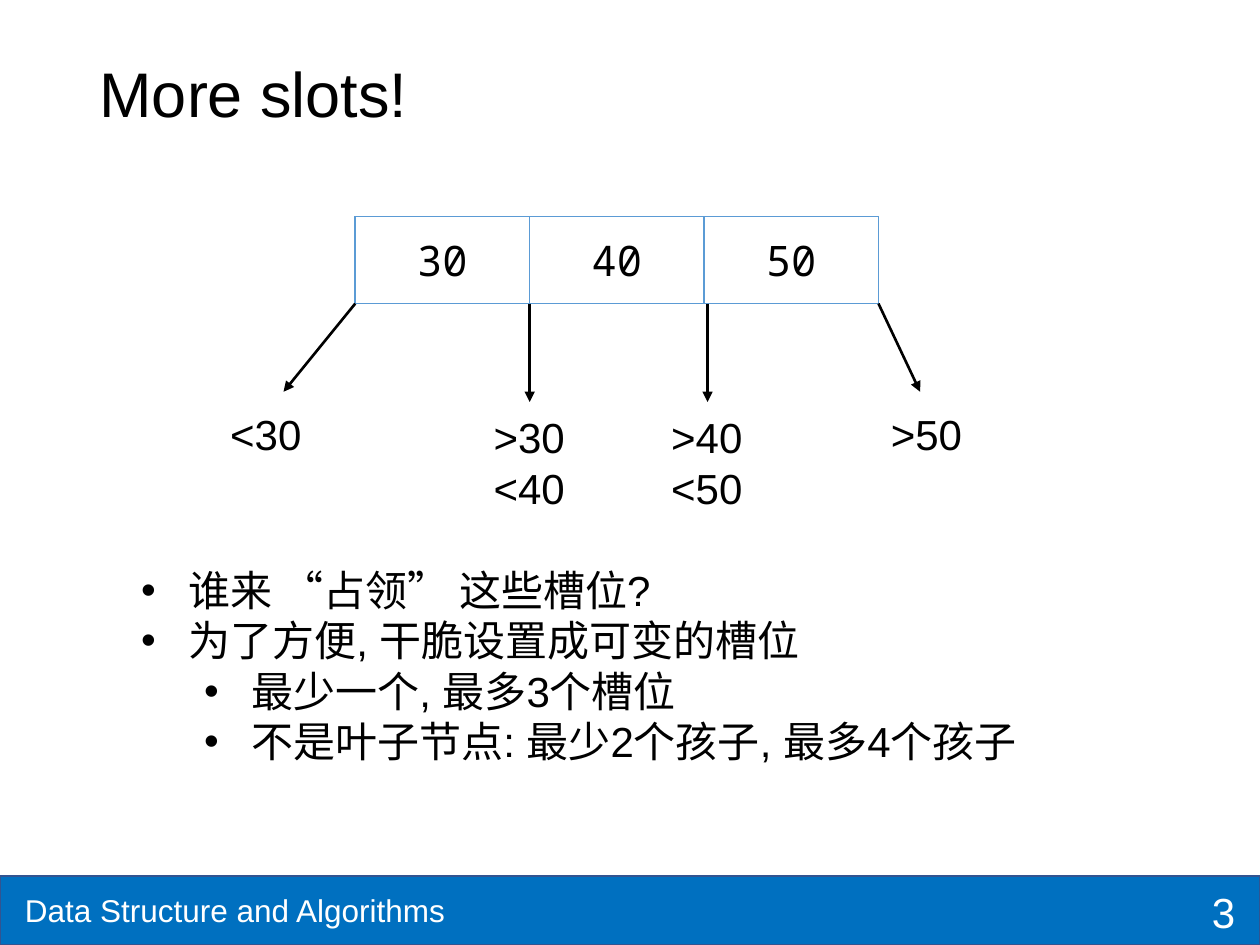
from lxml import etree
from pptx import Presentation
from pptx.dml.color import RGBColor
from pptx.enum import shapes, text
from pptx.oxml import ns
from pptx.util import Pt

COLORS = {"text": "000000", "paper": "FFFFFF", "bar": "0070C0",
          "bar_line": "325491", "slot_line": "5B9BD5"}
SANS, MONO = "Arial", "Noto Sans Mono"
MIDDLE = text.MSO_ANCHOR.MIDDLE
ALIGN = text.PP_ALIGN


def color(name):
    return RGBColor.from_string(COLORS[name])


def sub(parent, tag, **attrs):
    return etree.SubElement(parent, ns.qn(tag), **attrs)


def place(sp, x, y, w, h):
    sp.left, sp.top, sp.width, sp.height = Pt(x), Pt(y), Pt(w), Pt(h)


def write(sp, lines, size, fill="text", font=SANS, align=ALIGN.LEFT,
          anchor=text.MSO_ANCHOR.TOP, wrap=True):
    tf = sp.text_frame
    tf.auto_size = text.MSO_AUTO_SIZE.NONE
    tf.word_wrap = wrap
    tf.vertical_anchor = anchor
    tf.text = "\n".join(lines)
    for p in tf.paragraphs:
        p.alignment = align
        p.space_before = Pt(0)
        p.font.size = Pt(size)
        p.font.name = font
        p.font.color.rgb = color(fill)
    return tf


def add_label(s, box, lines, size, **style):
    return write(s.shapes.add_textbox(*map(Pt, box)), lines, size, **style)


def add_rect(s, box, fill, line, opacity=None):
    sp = s.shapes.add_shape(shapes.MSO_SHAPE.RECTANGLE, *map(Pt, box))
    sp.shadow.inherit = False
    sp.fill.solid()
    sp.fill.fore_color.rgb = color(fill)
    sp.line.color.rgb = color(line)
    sp.line.width = Pt(1)
    if opacity is not None:
        rgb = sp.fill._xPr.find(".//" + ns.qn("a:srgbClr"))
        sub(rgb, "a:alpha", val=str(opacity * 1000))
    return sp


def add_arrow(s, x1, y1, x2, y2):
    c = s.shapes.add_connector(shapes.MSO_CONNECTOR.STRAIGHT,
                               *map(Pt, (x1, y1, x2, y2)))
    c.line.color.rgb = color("text")
    c.line.width = Pt(1.5)
    sub(c.line._get_or_add_ln(), "a:tailEnd", type="triangle")
    sub(c._element.spPr, "a:effectLst")


def add_footer(s, x, y, w, h, label, number):
    add_rect(s, (x, y, w, h), "bar", "bar_line")
    add_label(s, (x + 7.2, y + 5, 269, 29), [label], 18, fill="paper")
    add_label(s, (x + w - 169, y + 5.8, 162, 29), [number], 24, fill="paper",
              align=ALIGN.RIGHT, anchor=MIDDLE)


def add_title(s, x, y, w, h, title):
    sp = s.shapes.title
    place(sp, x, y, w, h)
    tf = write(sp, [title], 36, anchor=MIDDLE)
    tf.paragraphs[0].line_spacing = 0.9


def add_node(s, x, y, w, h, keys):
    """Draw a node with one slot for each key."""
    add_rect(s, (x, y, w, h), "paper", "slot_line", 76)
    slot = w / len(keys)
    for i, key in enumerate(keys):
        sp = add_rect(s, (x + i * slot, y, slot, h), "paper", "slot_line", 76)
        write(sp, [key], 24, font=MONO, align=ALIGN.CENTER, anchor=MIDDLE)


def add_branches(s, x, y, w):
    """Draw the arrows and ranges that hang below a node's lower edge."""
    # arrow start, arrow sideways shift, drop, label left, label top, ranges
    branches = [
        (0, -41, 50.4, -78.5, 56.2, ["<30"]),
        (w / 3, 0, 56.2, 72, 58.3, [">30", "<40"]),
        (w * 2 / 3 + 2, 0, 56.2, 173.5, 58.3, [">40", "<50"]),
        (w, 23.8, 50.4, w, 56.2, [">50"]),
    ]
    for start, shift, drop, left, top, ranges in branches:
        add_arrow(s, x + start, y, x + start + shift, y + drop)
        add_label(s, (x + left, y + top, 55.4, 7 + 29 * len(ranges)),
                  ranges, 24, wrap=False)


def add_bullets(s, x, y, w, h, items):
    sp = s.placeholders[1]
    place(sp, x, y, w, h)
    tf = write(sp, [line for _, line in items], 24)
    for p, (level, _) in zip(tf.paragraphs, items):
        p.level = level
        pPr = p._p.get_or_add_pPr()
        pPr.set("marL", str(Pt(27 + 36 * level)))
        pPr.set("indent", str(Pt(-27)))
        bullet_font = etree.Element(ns.qn("a:buFont"), typeface=SANS)
        bullet = etree.Element(ns.qn("a:buChar"), char="•")
        pPr.find(ns.qn("a:defRPr")).addprevious(bullet_font)
        bullet_font.addnext(bullet)


def main():
    prs = Presentation()
    prs.slide_width, prs.slide_height = Pt(720), Pt(540)
    s = prs.slides.add_slide(prs.slide_layouts[1])
    add_footer(s, 0, 500.4, 720, 39.6, "Data Structure and Algorithms", "3")
    add_title(s, 49.7, 28.8, 620.6, 53.3, "More slots!")
    add_node(s, 203, 123.8, 299, 49.7, ["30", "40", "50"])
    add_branches(s, 203, 173.5, 299)
    add_bullets(s, 73.4, 319, 520.6, 123.8, [
        (0, "谁来 “占领” 这些槽位?"),
        (0, "为了方便, 干脆设置成可变的槽位"),
        (1, "最少一个, 最多3个槽位"),
        (1, "不是叶子节点: 最少2个孩子, 最多4个孩子"),
    ])
    prs.save("out.pptx")


if __name__ == "__main__":
    main()
